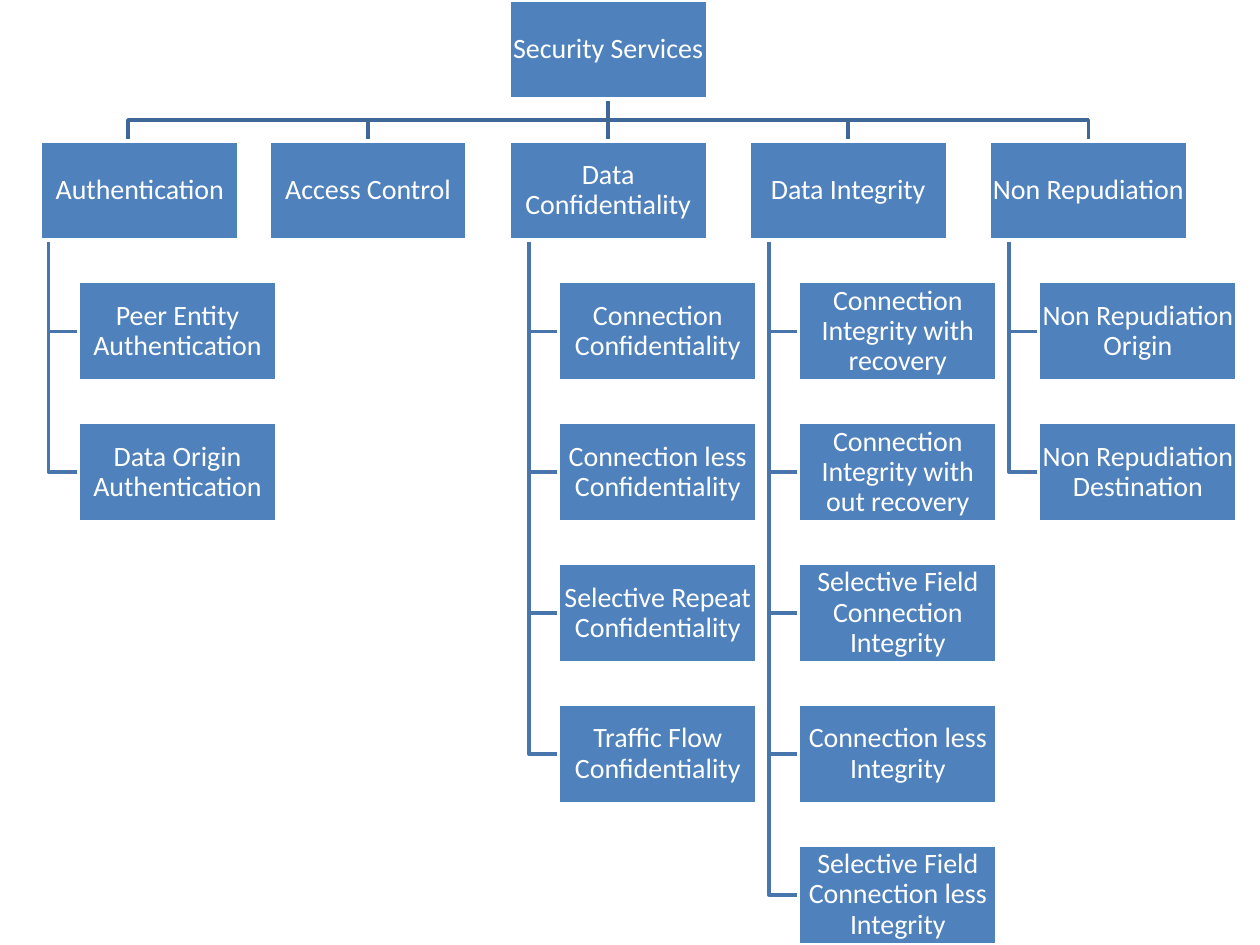
"""Build a one-slide tree of security services and their sub-services."""
from lxml import etree
from pptx import Presentation
from pptx import util as u
from pptx.dml.color import RGBColor
from pptx.enum import shapes, text
from pptx.oxml.ns import qn

ROOT = "Security Services"
SERVICES = [
    ("Authentication", ["Peer Entity Authentication", "Data Origin Authentication"]),
    ("Access Control", []),
    ("Data Confidentiality", [
        "Connection Confidentiality",
        "Connection less Confidentiality",
        "Selective Repeat Confidentiality",
        "Traffic Flow Confidentiality",
    ]),
    ("Data Integrity", [
        "Connection Integrity with recovery",
        "Connection Integrity with out recovery",
        "Selective Field Connection Integrity",
        "Connection less Integrity",
        "Selective Field Connection less Integrity",
    ]),
    ("Non Repudiation", ["Non Repudiation Origin", "Non Repudiation Destination"]),
]
COLORS = {"box": "4F81BD", "white": "FFFFFF", "bus": "3F6797", "branch": "4875AC"}
FONT, FONT_SIZE, LINE_WIDTH = "Calibri", u.Pt(16), u.Pt(2)

BOX_WIDTH, BOX_HEIGHT = 4, 2
FIRST_LEFT, COLUMN_STEP, ROW_STEP = 0.58, 4.84, 2.84
CHILD_INDENT, TRUNK_INDENT = 1, 0.4
NUDGES = {"Authentication": 0.24}


def color(name):
    return RGBColor.from_string(COLORS[name])


def style_line(shape, name):
    shape.line.color.rgb = color(name)
    shape.line.width = LINE_WIDTH


def add_box(slide, label, left, top):
    box = slide.shapes.add_shape(
        shapes.MSO_SHAPE.RECTANGLE, u.Cm(left), u.Cm(top), u.Cm(BOX_WIDTH), u.Cm(BOX_HEIGHT))
    box.shadow.inherit = False
    box.fill.solid()
    box.fill.fore_color.rgb = color("box")
    style_line(box, "white")
    frame = box.text_frame
    frame.word_wrap = True
    frame.vertical_anchor = text.MSO_ANCHOR.MIDDLE
    frame.margin_left = frame.margin_right = u.Cm(0.03)
    frame.margin_top = frame.margin_bottom = u.Cm(0.03)
    paragraph = frame.paragraphs[0]
    paragraph.text = label
    paragraph.alignment = text.PP_ALIGN.CENTER
    paragraph.line_spacing = 0.9
    paragraph.font.name = FONT
    paragraph.font.size = FONT_SIZE
    paragraph.font.color.rgb = color("white")


def add_elbow(slide, points, name):
    start, *others = [(u.Cm(x), u.Cm(y)) for x, y in points]
    builder = slide.shapes.build_freeform(*start)
    builder.add_line_segments(others, close=False)
    elbow = builder.convert_to_shape()
    elbow.shadow.inherit = False
    elbow.fill.background()
    style_line(elbow, name)


def add_straight(slide, start, end, name):
    line = slide.shapes.add_connector(
        shapes.MSO_CONNECTOR.STRAIGHT, *(u.Cm(value) for value in (*start, *end)))
    style_line(line, name)
    etree.SubElement(line._element.spPr, qn("a:effectLst"))


def add_service(slide, column, service, children, root_center):
    left = FIRST_LEFT + column * COLUMN_STEP
    center = left + BOX_WIDTH / 2
    start, end = (root_center, BOX_HEIGHT), (center, ROW_STEP)
    bus_y = (BOX_HEIGHT + ROW_STEP) / 2
    if center == root_center:
        add_straight(slide, start, end, "bus")
    else:
        add_elbow(slide, [start, (root_center, bus_y), (center, bus_y), end], "bus")

    trunk, child_left = left + TRUNK_INDENT, left + CHILD_INDENT
    for row, child in enumerate(children, start=2):
        top = row * ROW_STEP
        middle = top + BOX_HEIGHT / 2
        add_elbow(slide, [(trunk, ROW_STEP + BOX_HEIGHT), (trunk, middle),
                          (child_left, middle)], "branch")
        add_box(slide, child, child_left, top)
    add_box(slide, service, left + NUDGES.get(service, 0), ROW_STEP)


def main():
    presentation = Presentation()
    presentation.slide_width, presentation.slide_height = u.Cm(25.4), u.Cm(19.05)
    slide = presentation.slides.add_slide(presentation.slide_layouts[6])
    root_left = FIRST_LEFT + len(SERVICES) // 2 * COLUMN_STEP
    for column, (service, children) in enumerate(SERVICES):
        add_service(slide, column, service, children, root_left + BOX_WIDTH / 2)
    add_box(slide, ROOT, root_left, 0)
    presentation.save("out.pptx")


if __name__ == "__main__":
    main()
